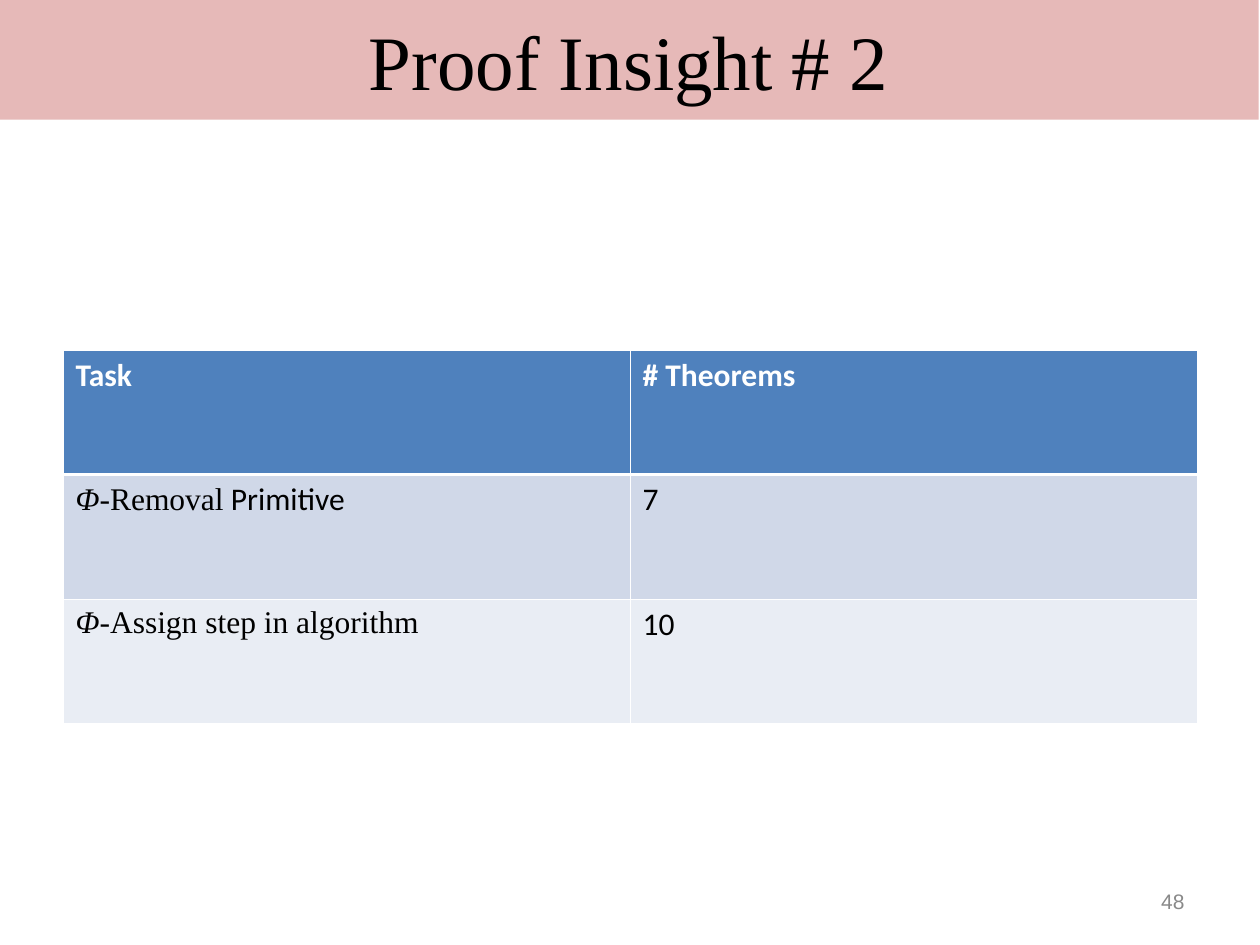
from dataclasses import dataclass

from lxml import etree
from pptx import Presentation
from pptx import util as u
from pptx.dml.color import RGBColor
from pptx.enum import text
from pptx.oxml import ns


@dataclass(frozen=True)
class Theme:
    black: str = "000000"
    white: str = "FFFFFF"
    grey: str = "898989"
    banner: str = "E6B9B8"
    header: str = "4F81BD"
    bands: tuple = ("D0D8E8", "E9EDF4")
    serif: str = "Times New Roman"
    sans: str = "Calibri"
    number_font: str = "Arial"
    title_size: int = 44
    table_size: int = 18
    number_size: int = 12
    thin: float = 0.45
    thick: float = 1.47


T = Theme()


@dataclass(frozen=True)
class Run:
    text: str
    font: str = T.sans
    size: int = T.table_size
    color: str = T.black
    bold: bool = False
    italic: bool = False


@dataclass(frozen=True)
class Row:
    cells: tuple
    fill: str
    top: float = T.thin
    bottom: float = T.thin


ROWS = (
    Row(((Run("Task", color=T.white, bold=True),),
         (Run("# Theorems", color=T.white, bold=True),)),
        T.header, bottom=T.thick),
    Row(((Run("Φ-", T.serif, italic=True), Run("Removal", T.serif), Run(" Primitive")),
         (Run("7"),)),
        T.bands[0], top=T.thick),
    Row(((Run("Φ", T.serif, italic=True), Run("-Assign step in algorithm", T.serif)),
         (Run("10"),)),
        T.bands[1]),
)


def rgb(color: str) -> RGBColor:
    return RGBColor.from_string(color)


def write(tf, runs: tuple, align=text.PP_ALIGN.LEFT) -> None:
    p = tf.paragraphs[0]
    p.alignment = align
    for run in runs:
        r = p.add_run()
        r.text = run.text
        fmt = {"name": run.font, "size": u.Pt(run.size),
               "bold": run.bold, "italic": run.italic}
        for key, value in fmt.items():
            setattr(r.font, key, value)
        r.font.color.rgb = rgb(run.color)


def add_borders(cell, row: Row) -> None:
    """Add the border lines; they must come before the cell's fill."""
    tc_pr = cell._tc.get_or_add_tcPr()
    for side, width in (("L", T.thin), ("R", T.thin), ("T", row.top), ("B", row.bottom)):
        ln = etree.SubElement(tc_pr, ns.qn(f"a:ln{side}"), w=str(int(u.Pt(width))))
        fill = etree.SubElement(ln, ns.qn("a:solidFill"))
        etree.SubElement(fill, ns.qn("a:srgbClr"), val=T.white)


def add_theorem_table(s) -> None:
    frame = s.shapes.add_table(len(ROWS), 2, u.Inches(0.5), u.Inches(2.78),
                               u.Inches(9), u.Inches(2.96))
    for i, row in enumerate(ROWS):
        for j, runs in enumerate(row.cells):
            cell = frame.table.cell(i, j)
            add_borders(cell, row)
            cell.fill.solid()
            cell.fill.fore_color.rgb = rgb(row.fill)
            write(cell.text_frame, runs)


def add_page_number(s, number: str) -> None:
    sp = s.shapes.add_textbox(u.Inches(7.17), u.Inches(6.95), u.Inches(2.33), u.Inches(0.4))
    tf = sp.text_frame
    tf.word_wrap = True
    tf.vertical_anchor = text.MSO_ANCHOR.MIDDLE
    write(tf, (Run(number, T.number_font, T.number_size, T.grey),), text.PP_ALIGN.RIGHT)


def format_title(sp, title: str) -> None:
    place = {"left": -0.01, "top": -0.01, "width": 10, "height": 0.96}
    for key, value in place.items():
        setattr(sp, key, u.Inches(value))
    sp.fill.solid()
    sp.fill.fore_color.rgb = rgb(T.banner)
    sp.text_frame.vertical_anchor = text.MSO_ANCHOR.MIDDLE
    write(sp.text_frame, (Run(title, T.serif, T.title_size),), text.PP_ALIGN.CENTER)


def main() -> None:
    prs = Presentation()
    prs.slide_width, prs.slide_height = u.Inches(10), u.Inches(7.5)
    s = prs.slides.add_slide(prs.slide_layouts.get_by_name("Title Only"))
    format_title(s.shapes.title, "Proof Insight # 2")
    add_theorem_table(s)
    add_page_number(s, "48")
    prs.save("out.pptx")


if __name__ == "__main__":
    main()
